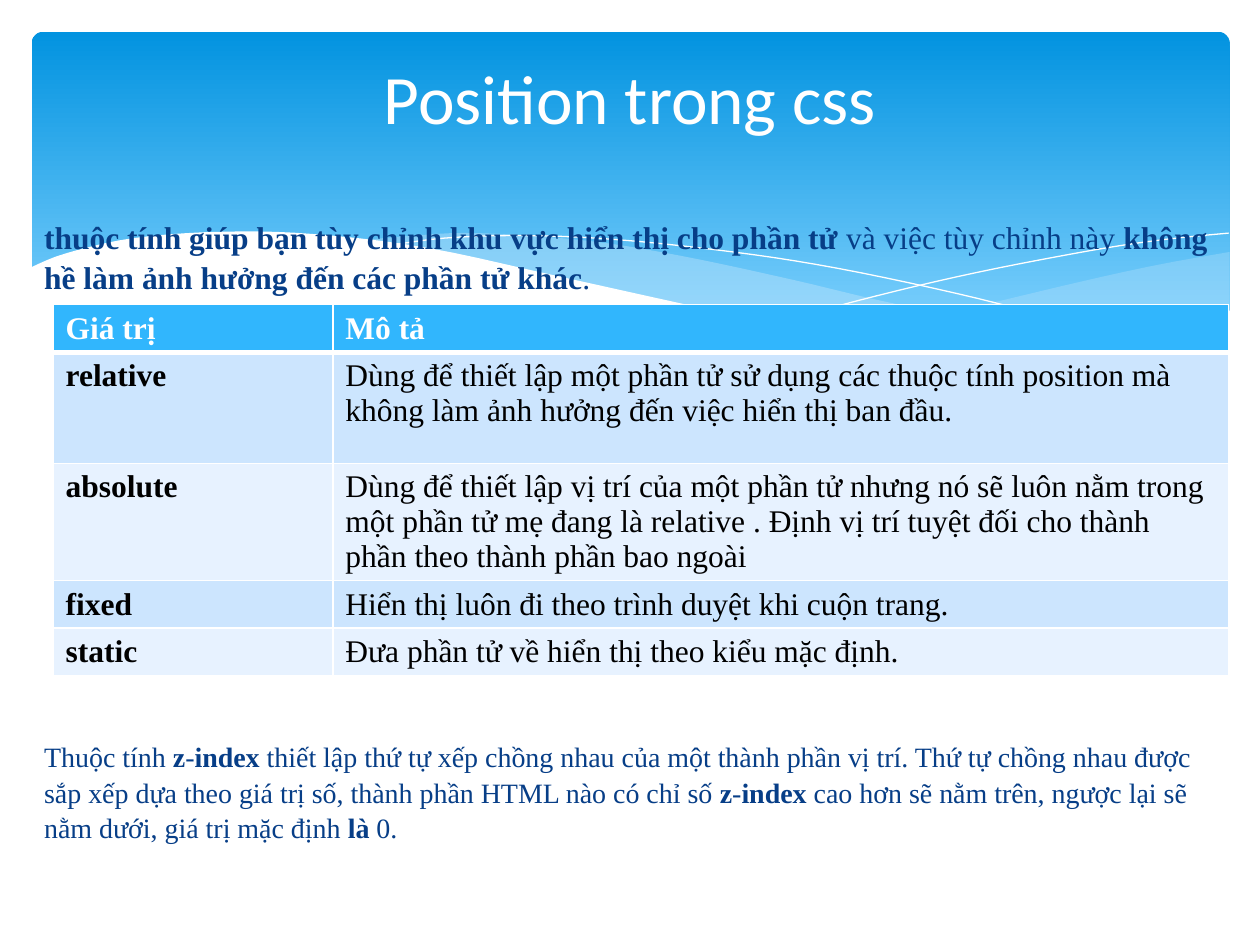
"""Build a slide on the CSS position property."""
from lxml import etree
from pptx import Presentation
from pptx import util as u
from pptx.dml.color import RGBColor
from pptx.enum import shapes, text
from pptx.oxml import ns

COLOURS = {
    "sky": "0293E0", "pale": "81D2FE", "mist": "C6E7FC", "white": "FFFFFF",
    "navy": "073E87", "black": "000000", "header": "31B6FD",
    "odd": "CCE5FE", "even": "E7F2FF",
}


def colour(name):
    """Return the named colour."""
    return RGBColor.from_string(COLOURS[name])


def smooth(knots, steps=5):
    """Return points on a smooth curve through the knots."""
    padded = [knots[0], *knots, knots[-1]]
    points = [knots[0]]
    for a, b, c, d in zip(padded, padded[1:], padded[2:], padded[3:]):
        for step in range(1, steps + 1):
            t = step / steps
            points.append(tuple(
                q + t * ((r - p) + t * ((2 * p - 5 * q + 4 * r - s) + t * (3 * q - p - 3 * r + s))) / 2
                for p, q, r, s in zip(a, b, c, d)))
    return points


class Page:
    """Hold the style and the current slide."""

    font = "Times New Roman"

    def __init__(self, deck):
        """Add a title-only slide to the deck."""
        self.slide = deck.slides.add_slide(deck.slide_layouts[5])
        self.items = self.slide.shapes

    def banner(self, left, top, width, height):
        """Draw the rounded gradient panel."""
        box = self.items.add_shape(shapes.MSO_SHAPE.ROUNDED_RECTANGLE,
                                   u.Cm(left), u.Cm(top), u.Cm(width), u.Cm(height))
        box.adjustments[0] = 0.034
        box.shadow.inherit = False
        box.line.fill.background()
        box.fill.gradient()
        box.fill.gradient_angle = 270
        for stop, name, position in zip(box.fill.gradient_stops, ("sky", "pale"), (0, 0.9)):
            stop.color.rgb = colour(name)
            stop.position = position

    def wave(self, *arcs, fill=None, alpha=100):
        """Draw a curved area, or a thin curve when no fill is given."""
        points = [(u.Cm(x), u.Cm(y)) for arc in arcs for x, y in smooth(arc)]
        builder = self.items.build_freeform(*points[0])
        builder.add_line_segments(points[1:], close=fill is not None)
        shape = builder.convert_to_shape()
        shape.shadow.inherit = False
        if fill is None:
            shape.fill.background()
            shape.line.color.rgb = colour("white")
            shape.line.width = u.Pt(0.75)
            return
        shape.line.fill.background()
        shape.fill.solid()
        shape.fill.fore_color.rgb = colour(fill)
        if alpha < 100:
            tone = shape._element.spPr.find(".//" + ns.qn("a:srgbClr"))
            etree.SubElement(tone, ns.qn("a:alpha"), val=str(alpha * 1000))

    def title(self, words, left, top, width, height):
        """Place and format the title above the banner."""
        box = self.items.title
        box.left, box.top, box.width, box.height = map(u.Cm, (left, top, width, height))
        self.items._spTree.append(box._element)
        frame = box.text_frame
        frame.text = words
        frame.vertical_anchor = text.MSO_ANCHOR.MIDDLE
        para = frame.paragraphs[0]
        para.alignment = text.PP_ALIGN.CENTER
        self.style(para.font, 39.6, "white", name="Calibri")

    def style(self, font, size, tone, bold=None, name=None):
        """Set the look of a font."""
        font.name = name or self.font
        font.size = u.Pt(size)
        font.color.rgb = colour(tone)
        font.bold = bold

    def paragraph(self, words, left, top, width, height, size):
        """Add a paragraph whose parts between asterisks are bold."""
        box = self.items.add_textbox(u.Cm(left), u.Cm(top), u.Cm(width), u.Cm(height))
        box.text_frame.word_wrap = True
        para = box.text_frame.paragraphs[0]
        para.line_spacing = 1.05
        self.style(para.font, size, "navy")
        for index, part in enumerate(words.split("*")):
            if part:
                span = para.add_run()
                span.text = part
                span.font.bold = index % 2 == 1

    def border(self, cell, side, width):
        """Give one side of a cell a white line."""
        line = etree.SubElement(cell._tc.get_or_add_tcPr(), ns.qn("a:" + side), w=str(u.Pt(width)))
        paint = etree.SubElement(line, ns.qn("a:solidFill"))
        etree.SubElement(paint, ns.qn("a:srgbClr"), val=COLOURS["white"])

    def table(self, rows, left, top, widths, heights):
        """Add a banded table with a header row and bold first column."""
        frame = self.items.add_table(len(rows), len(widths), u.Cm(left), u.Cm(top),
                                     u.Cm(sum(widths)), u.Cm(sum(heights)))
        grid = frame.table
        for column, width in zip(grid.columns, widths):
            column.width = u.Cm(width)
        for r, (row, height) in enumerate(zip(rows, heights)):
            grid.rows[r].height = u.Cm(height)
            for c, words in enumerate(row):
                cell = grid.cell(r, c)
                cell.text = words
                self.style(cell.text_frame.paragraphs[0].font, 18,
                           "black" if r else "white", r == 0 or c == 0)
                for side in ("lnL", "lnR", "lnT", "lnB"):
                    heavy = (r, side) in ((0, "lnB"), (1, "lnT"))
                    self.border(cell, side, 3 if heavy else 1)
                cell.fill.solid()
                cell.fill.fore_color.rgb = colour(("even", "odd")[r % 2] if r else "header")


deck = Presentation()
deck.slide_width, deck.slide_height = u.Cm(25.4), u.Cm(19.05)
page = Page(deck)

page.banner(0.64, 0.64, 24.15, 6.86)
page.wave([(24.79, 5.08), (23.39, 5.33), (21.87, 5.66), (19.13, 6.3), (16.79, 6.73)],
          [(16.79, 6.73), (18.26, 6.91), (20.4, 7.06), (22.15, 6.96), (23.57, 6.68), (24.79, 6.27)],
          fill="mist", alpha=29)
page.wave([(22.68, 6.93), (20.5, 6.6), (17.93, 6.1), (15.98, 5.64), (13.74, 5.16),
           (11.81, 4.85), (9.65, 4.7), (8.33, 4.75), (7.26, 4.85)],
          [(7.26, 4.85), (9.19, 5.16), (11.4, 5.64), (14.38, 6.3), (16.51, 6.71),
           (18.34, 6.96), (20.5, 7.06), (21.77, 7.04), (22.68, 6.93)],
          fill="mist", alpha=40)
page.wave([(7.85, 4.95), (8.97, 4.8), (10.57, 4.75), (12.42, 4.83), (14.78, 5.08),
           (16.89, 5.41), (19.3, 5.92), (21.11, 6.38), (23.04, 6.91)])
page.wave([(15.57, 6.53), (17.65, 5.97), (19.71, 5.49), (22, 5.05), (23.47, 4.83), (24.77, 4.7)])
page.wave([(24.82, 6.25), (23.11, 6.78), (20.55, 7.04), (17.98, 6.86), (15.32, 6.45),
           (11.35, 5.59), (8.64, 5), (6.35, 4.72), (4.5, 4.67), (2.69, 4.8),
           (1.32, 5.11), (0.58, 5.41)],
          [(0.58, 8.36), (24.82, 8.36)], fill="white")

page.paragraph("*thuộc tính giúp bạn tùy chỉnh khu vực hiển thị cho phần tử* và việc tùy chỉnh này "
               "*không hề làm ảnh hưởng đến các phần tử khác*.", 0.64, 4.24, 24.13, 1.8, 18)
page.paragraph("Thuộc tính *z*-*index* thiết lập thứ tự xếp chồng nhau của một thành phần vị trí. "
               "Thứ tự chồng nhau được sắp xếp dựa theo giá trị số, thành phần HTML nào có chỉ số "
               "*z*-*index* cao hơn sẽ nằm trên, ngược lại sẽ nằm dưới, giá trị mặc định *là* 0.",
               0.64, 14.76, 24.13, 2.3, 16)
page.title("Position trong css", 1.27, 0.94, 22.86, 2.03)
page.table([
    ("Giá trị", "Mô tả"),
    ("relative", "Dùng để thiết lập một phần tử sử dụng các thuộc tính position mà "
                 "không làm ảnh hưởng đến việc hiển thị ban đầu."),
    ("absolute", "Dùng để thiết lập vị trí của một phần tử nhưng nó sẽ luôn nằm trong một phần tử "
                 "mẹ đang là relative . Định vị trí tuyệt đối cho thành phần theo thành phần bao ngoài"),
    ("fixed", "Hiển thị luôn đi theo trình duyệt khi cuộn trang."),
    ("static", "Đưa phần tử về hiển thị theo kiểu mặc định."),
], 1.07, 6.14, (5.64, 18.06), (0.96, 2.24, 2.36, 0.95, 0.95))

deck.save("out.pptx")
